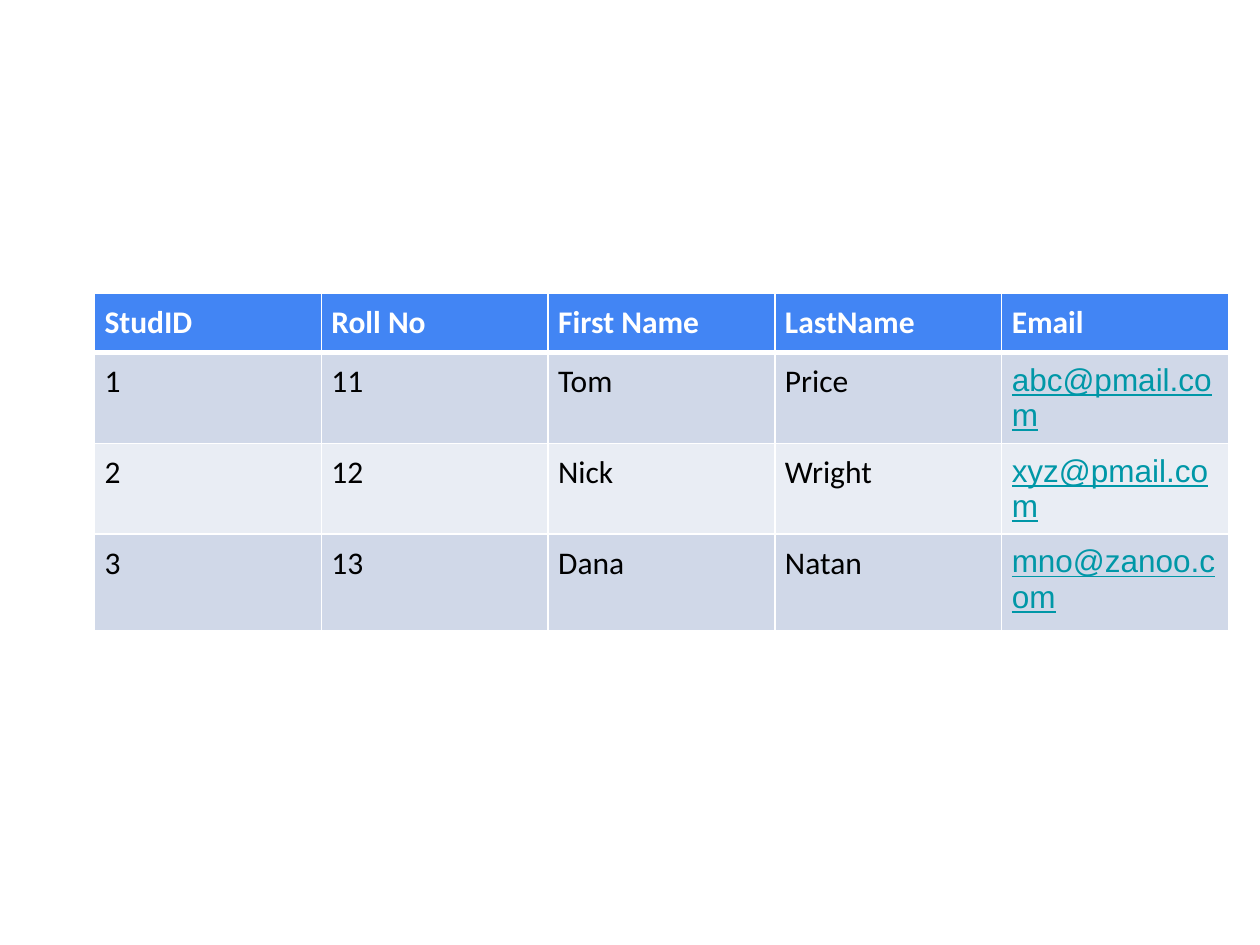
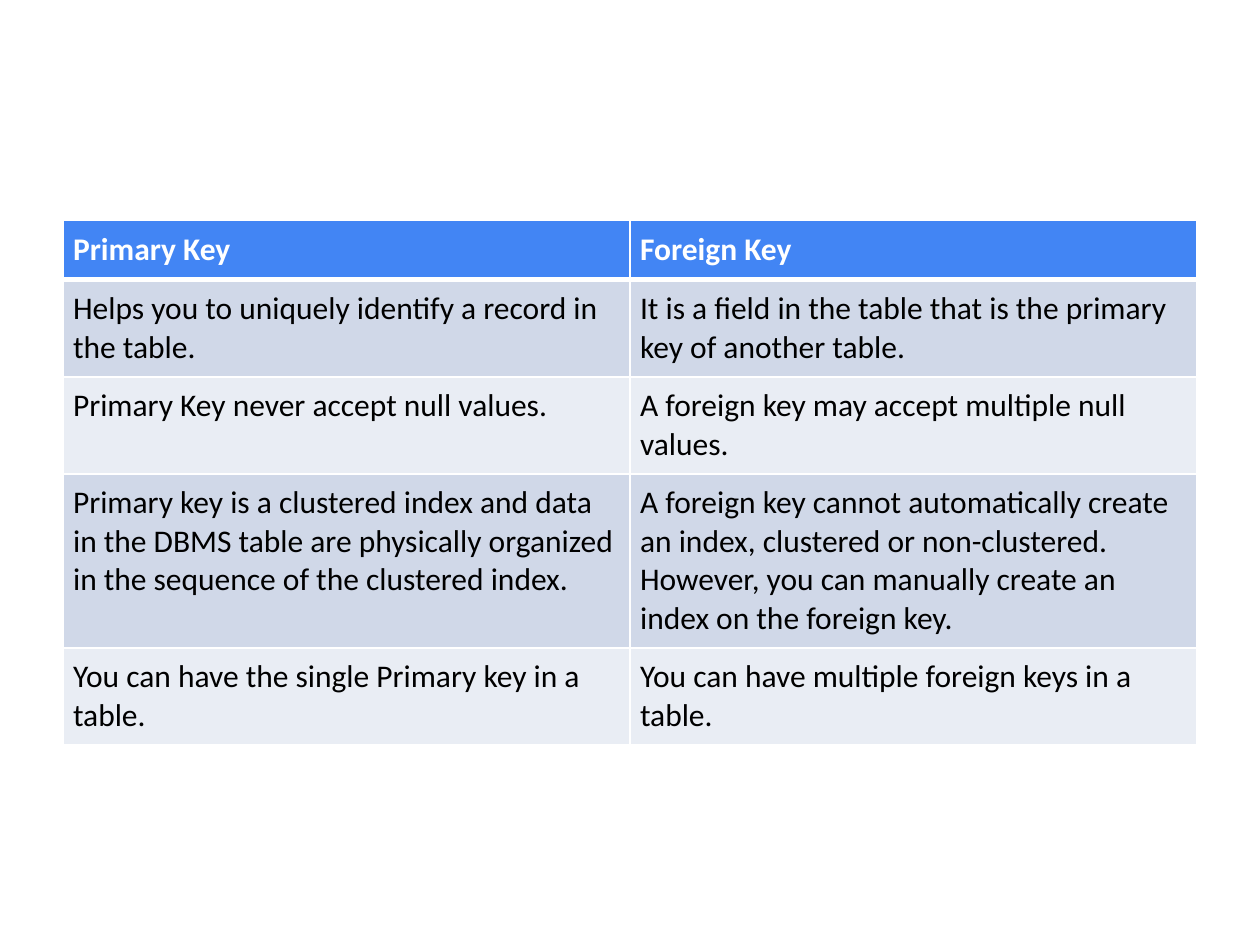
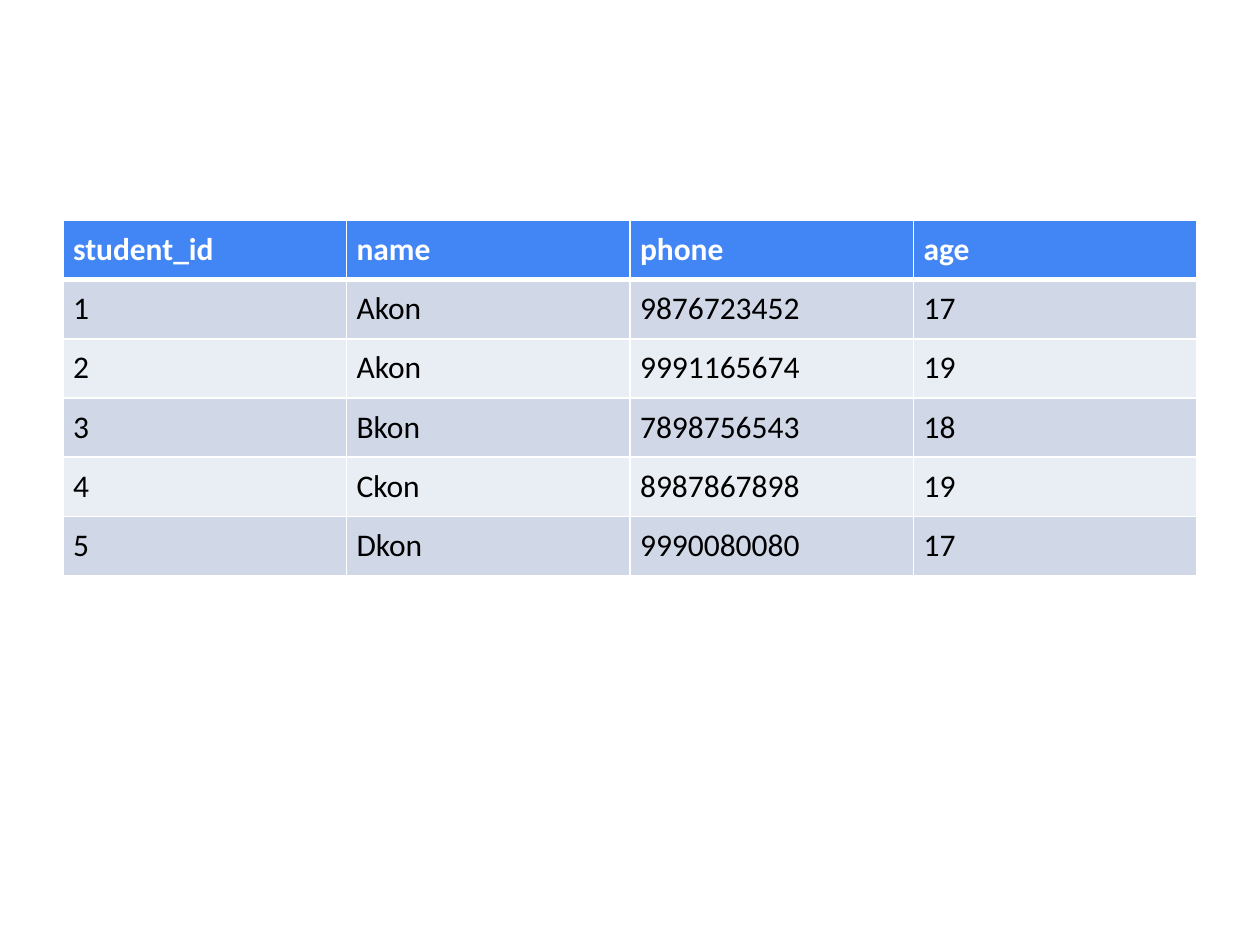
import pptx
import pptx.dml.color
import pptx.util
import lxml.etree

Inches = pptx.util.Inches
Pt = pptx.util.Pt

HEAD, DARK, PALE = "4285F4", "D0D8E8", "E9EDF4"
WHITE, BLACK, LINK = "FFFFFF", "000000", "0097A7"
WIDTH, INSET, LOW, TALL = 9, 0.08, 0.47, 0.77
A = "{http://schemas.openxmlformats.org/drawingml/2006/main}"


def rgb(code):
    return pptx.dml.color.RGBColor.from_string(code)


def edge(cell, side, width):
    """Draw one white border; call in the order L, R, T, B, before the fill."""
    props = cell._tc.get_or_add_tcPr()
    line = lxml.etree.SubElement(props, A + "ln" + side, w=str(Pt(width)))
    fill = lxml.etree.SubElement(line, A + "solidFill")
    lxml.etree.SubElement(fill, A + "srgbClr", val=WHITE)


tables = [
    {"left": 0.75, "top": 2.33, "heights": [LOW, LOW, LOW, TALL], "rows": [
        ["StudID", "Roll No", "First Name", "LastName", "Email"],
        ["1", "11", "Tom", "Price", "abc@pmail.com"],
        ["2", "12", "Nick", "Wright", "xyz@pmail.com"],
        ["3", "13", "Dana", "Natan", "mno@zanoo.com"],
    ]},
    {"left": 0.5, "top": 1.75, "heights": [LOW, TALL, TALL, 1.37, TALL], "rows": [
        ["Primary Key", "Foreign Key"],
        ["Helps you to uniquely identify a record in the table.",
         "It is a field in the table that is the primary key of another table."],
        ["Primary Key never accept null values.",
         "A foreign key may accept multiple null values."],
        ["Primary key is a clustered index and data in the DBMS table are "
         "physically organized in the sequence of the clustered index.",
         "A foreign key cannot automatically create an index, clustered or "
         "non-clustered. However, you can manually create an index on the "
         "foreign key."],
        ["You can have the single Primary key in a table.",
         "You can have multiple foreign keys in a table."],
    ]},
    {"left": 0.5, "top": 1.75, "heights": [LOW] * 6, "rows": [
        ["student_id", "name", "phone", "age"],
        ["1", "Akon", "9876723452", "17"],
        ["2", "Akon", "9991165674", "19"],
        ["3", "Bkon", "7898756543", "18"],
        ["4", "Ckon", "8987867898", "19"],
        ["5", "Dkon", "9990080080", "17"],
    ]},
]

deck = pptx.Presentation()
deck.slide_width, deck.slide_height = Inches(10), Inches(7.5)

for data in tables:
    slide = deck.slides.add_slide(deck.slide_layouts[6])
    rows, heights = data["rows"], data["heights"]
    count = len(rows[0])
    table = slide.shapes.add_table(
        len(rows), count, Inches(data["left"]), Inches(data["top"]),
        Inches(WIDTH), Inches(sum(heights))).table
    table.horz_banding = False
    for col in table.columns:
        col.width = Inches(WIDTH / count)

    for r, row in enumerate(rows):
        table.rows[r].height = Inches(heights[r])
        for c, text in enumerate(row):
            cell = table.cell(r, c)
            for side in ("left", "right", "top", "bottom"):
                setattr(cell, "margin_" + side, Inches(INSET))
            widths = {"L": 1, "R": 1, "T": 3 if r == 1 else 1, "B": 3 if r == 0 else 1}
            for side, width in widths.items():
                edge(cell, side, width)
            cell.fill.solid()
            cell.fill.fore_color.rgb = rgb(HEAD if r == 0 else DARK if r % 2 else PALE)

            mail = "@" in text
            run = cell.text_frame.paragraphs[0].add_run()
            run.text = text
            style = {"size": Pt(18), "name": "Arial" if mail else "Calibri",
                     "bold": r == 0, "underline": mail}
            for key, value in style.items():
                setattr(run.font, key, value)
            run.font.color.rgb = rgb(WHITE if r == 0 else LINK if mail else BLACK)

deck.save("out.pptx")
